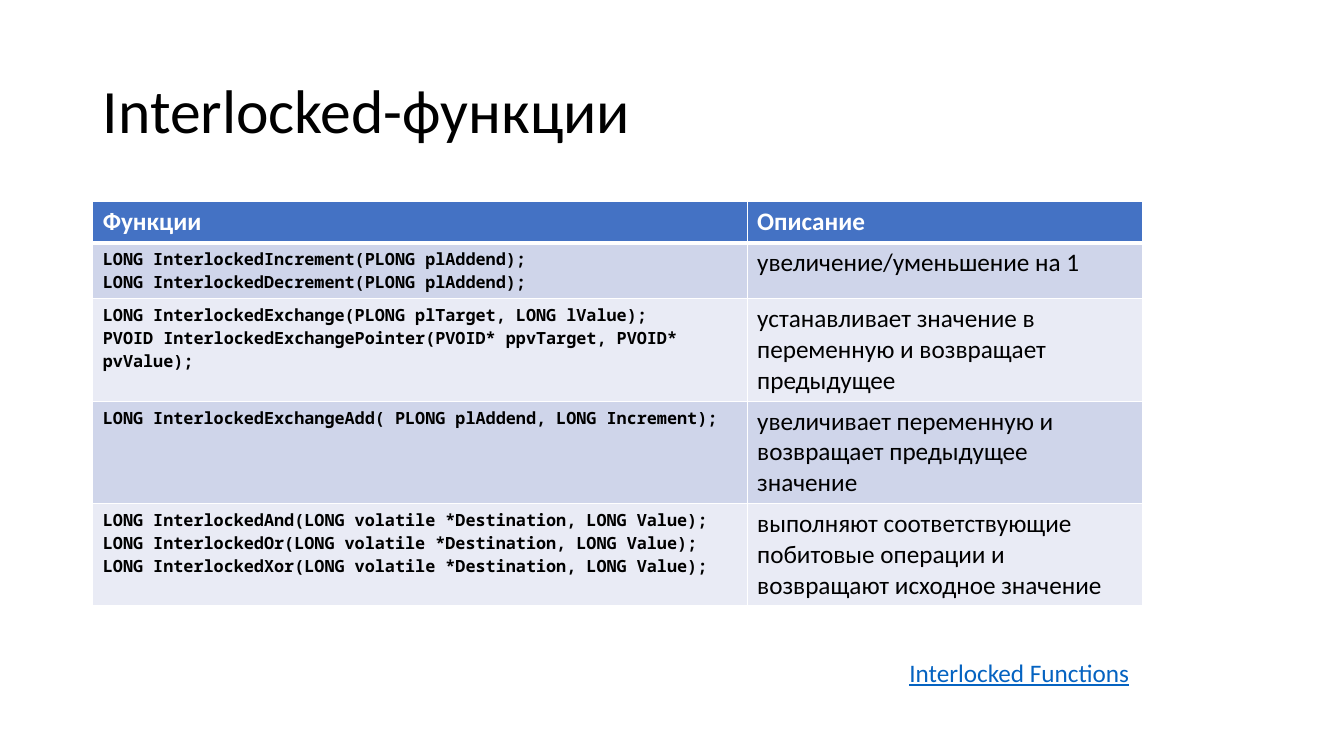
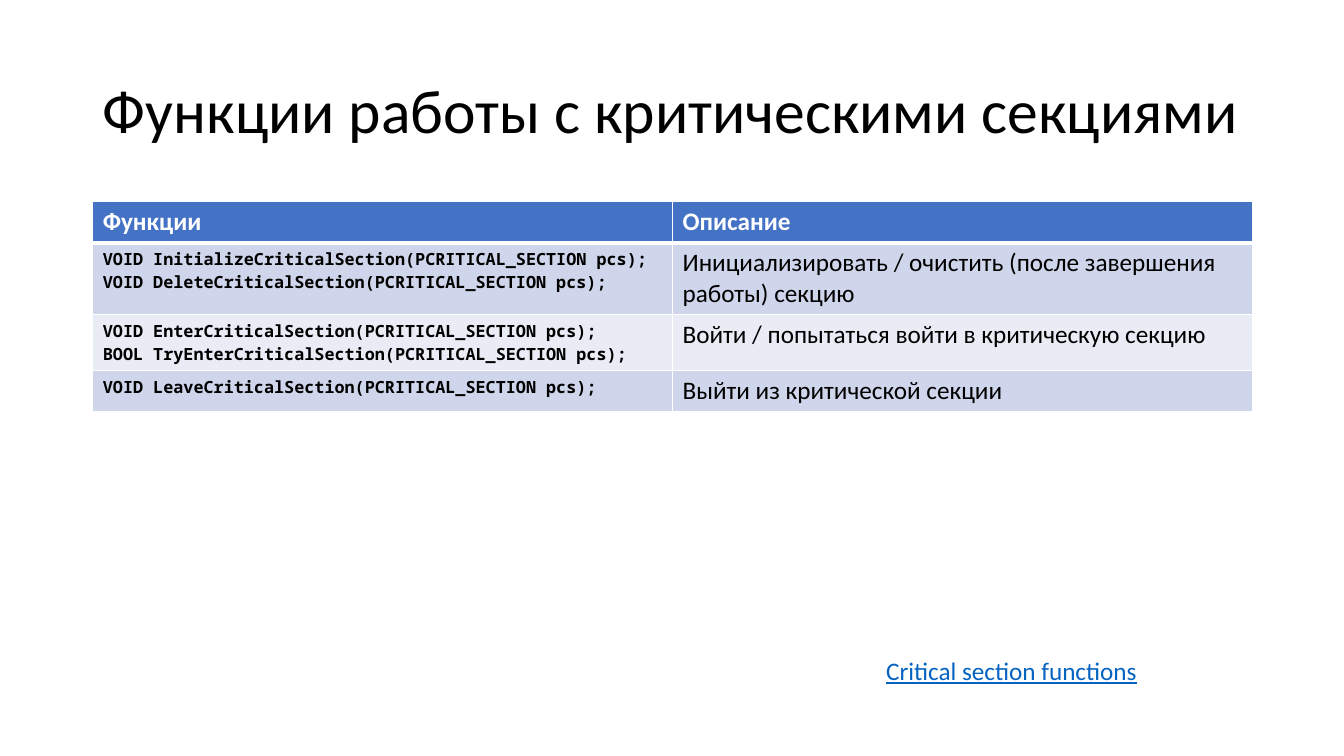
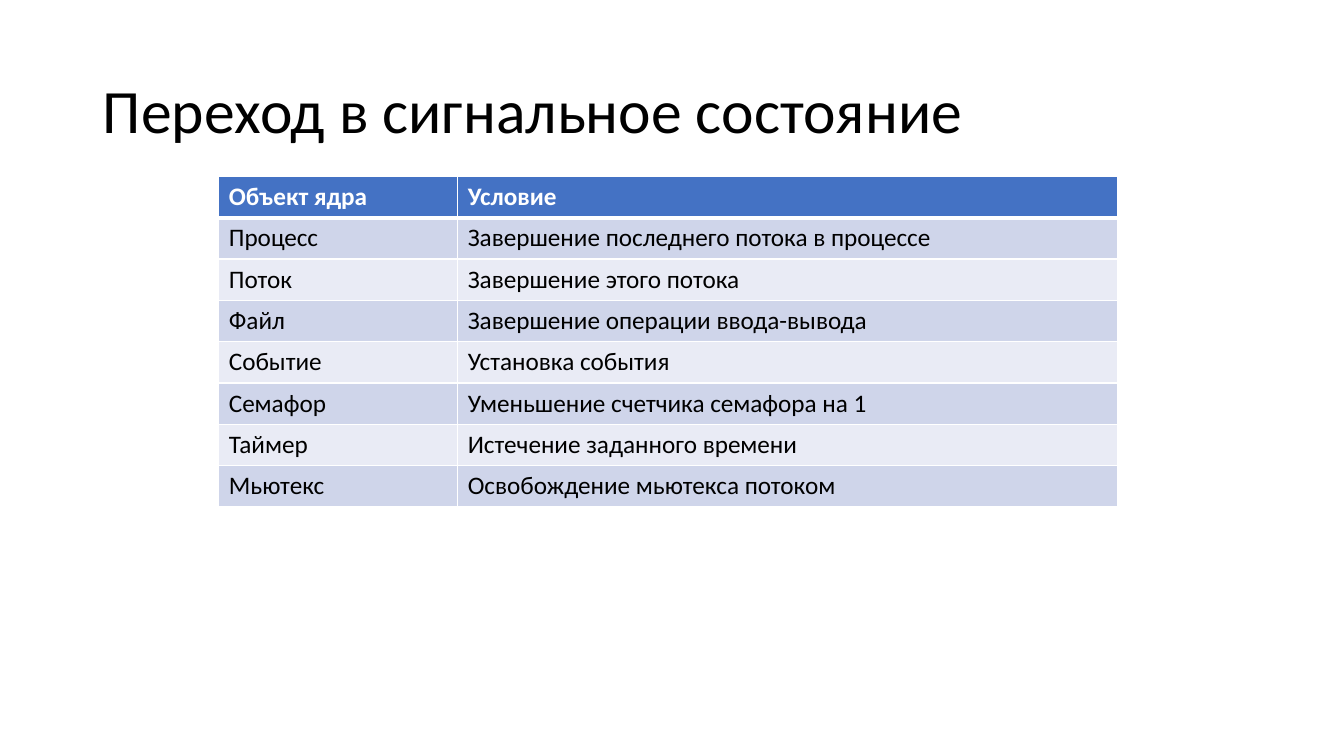
from lxml import etree
from pptx import Presentation
from pptx.dml.color import RGBColor
from pptx.enum.text import MSO_ANCHOR, MSO_AUTO_SIZE, PP_ALIGN
from pptx.oxml.ns import qn
from pptx.util import Inches, Pt

LEFT = PP_ALIGN.LEFT
MIDDLE = MSO_ANCHOR.MIDDLE
FIXED = MSO_AUTO_SIZE.NONE
GROW = MSO_AUTO_SIZE.SHAPE_TO_FIT_TEXT

TEXT_FONT, CODE_FONT = "Calibri", "Noto Sans Mono"
BLACK, WHITE, LINK = "000000", "FFFFFF", "0563C1"
HEADER_FILL = "4472C4"
BAND_FILLS = ("CFD5EA", "E9EBF5")
TITLE_AREA = (0.92, 0.4, 11.5, 1.45)
ROW_HEIGHT = 0.41

PAGES = [
    {
        "title": "Interlocked-функции",
        "table_at": (0.92, 2),
        "columns": (6.49, 3.92),
        "code": True,
        "rows": [
            ("Функции", "Описание"),
            ("LONG InterlockedIncrement(PLONG plAddend);\n"
             "LONG InterlockedDecrement(PLONG plAddend);",
             "увеличение/уменьшение на 1"),
            ("LONG InterlockedExchange(PLONG plTarget, LONG lValue);\n"
             "PVOID InterlockedExchangePointer(PVOID* ppvTarget, PVOID* pvValue);",
             "устанавливает значение в переменную и возвращает предыдущее"),
            ("LONG InterlockedExchangeAdd( PLONG plAddend, LONG Increment);",
             "увеличивает переменную и возвращает предыдущее значение"),
            ("LONG InterlockedAnd(LONG volatile *Destination, LONG Value);\n"
             "LONG InterlockedOr(LONG volatile *Destination, LONG Value);\n"
             "LONG InterlockedXor(LONG volatile *Destination, LONG Value);",
             "выполняют соответствующие побитовые операции и возвращают исходное значение"),
        ],
        "reference": ("Interlocked Functions", (8.92, 6.47, 2.41, 0.4)),
    },
    {
        "title": "Функции работы с критическими секциями",
        "table_at": (0.92, 2),
        "columns": (5.75, 5.75),
        "code": True,
        "rows": [
            ("Функции", "Описание"),
            ("VOID InitializeCriticalSection(PCRITICAL_SECTION pcs);\n"
             "VOID DeleteCriticalSection(PCRITICAL_SECTION pcs);",
             "Инициализировать / очистить (после завершения работы) секцию"),
            ("VOID EnterCriticalSection(PCRITICAL_SECTION pcs);\n"
             "BOOL TryEnterCriticalSection(PCRITICAL_SECTION pcs);",
             "Войти / попытаться войти в критическую секцию"),
            ("VOID LeaveCriticalSection(PCRITICAL_SECTION pcs);",
             "Выйти из критической секции"),
        ],
        "reference": ("Critical section functions", (8.69, 6.45, 2.72, 0.4)),
    },
    {
        "title": "Переход в сигнальное состояние",
        "table_at": (2.17, 1.75),
        "columns": (2.37, 6.54),
        "code": False,
        "rows": [
            ("Объект ядра", "Условие"),
            ("Процесс", "Завершение последнего потока в процессе"),
            ("Поток", "Завершение этого потока"),
            ("Файл", "Завершение операции ввода-вывода"),
            ("Событие", "Установка события"),
            ("Семафор", "Уменьшение счетчика семафора на 1"),
            ("Таймер", "Истечение заданного времени"),
            ("Мьютекс", "Освобождение мьютекса потоком"),
        ],
        "reference": None,
    },
]


def color(value):
    return RGBColor.from_string(value)


def write(frame, text, size, ink, font=TEXT_FONT, bold=False, underline=False):
    frame.text = text
    for paragraph in frame.paragraphs:
        paragraph.alignment = LEFT
        for span in paragraph.runs:
            span.font.name = font
            span.font.size = Pt(size)
            span.font.bold = bold
            span.font.underline = underline
            span.font.color.rgb = color(ink)


def add_borders(cell, widths):
    properties = cell._tc.get_or_add_tcPr()
    for index, (side, width) in enumerate(widths.items()):
        line = etree.Element(qn(f"a:ln{side}"), w=str(Pt(width)))
        fill = etree.SubElement(line, qn("a:solidFill"))
        etree.SubElement(fill, qn("a:srgbClr"), val=WHITE)
        properties.insert(index, line)


def add_title(page, text):
    title = page.shapes.title
    title.left, title.top, title.width, title.height = map(Inches, TITLE_AREA)
    frame = title.text_frame
    write(frame, text, 44, BLACK)
    frame.word_wrap = True
    frame.auto_size = FIXED
    frame.vertical_anchor = MIDDLE
    frame.paragraphs[0].line_spacing = 0.9


def add_grid(page, position, columns, rows, has_code):
    left, top = map(Inches, position)
    table = page.shapes.add_table(
        len(rows), len(columns), left, top,
        Inches(sum(columns)), Inches(ROW_HEIGHT * len(rows))).table
    for column, width in zip(table.columns, columns):
        column.width = Inches(width)
    for row_index, texts in enumerate(rows):
        table.rows[row_index].height = Inches(ROW_HEIGHT)
        is_header = row_index == 0
        fill = HEADER_FILL if is_header else BAND_FILLS[(row_index - 1) % 2]
        for column_index, text in enumerate(texts):
            cell = table.cell(row_index, column_index)
            cell.fill.solid()
            cell.fill.fore_color.rgb = color(fill)
            if is_header:
                write(cell.text_frame, text, 18, WHITE, bold=True)
            elif has_code and column_index == 0:
                write(cell.text_frame, text, 12, BLACK, CODE_FONT, bold=True)
            else:
                write(cell.text_frame, text, 18, BLACK)
            add_borders(cell, {"L": 1, "R": 1,
                               "T": 3 if row_index == 1 else 1,
                               "B": 3 if is_header else 1})


def add_reference(page, text, area):
    box = page.shapes.add_textbox(*map(Inches, area))
    write(box.text_frame, text, 18, LINK, underline=True)
    box.text_frame.word_wrap = False
    box.text_frame.auto_size = GROW


deck = Presentation()
deck.slide_width, deck.slide_height = Inches(13.33), Inches(7.5)
title_only = deck.slide_layouts[5]

for content in PAGES:
    page = deck.slides.add_slide(title_only)
    add_title(page, content["title"])
    add_grid(page, content["table_at"], content["columns"],
             content["rows"], content["code"])
    if content["reference"]:
        add_reference(page, *content["reference"])

deck.save("out.pptx")
